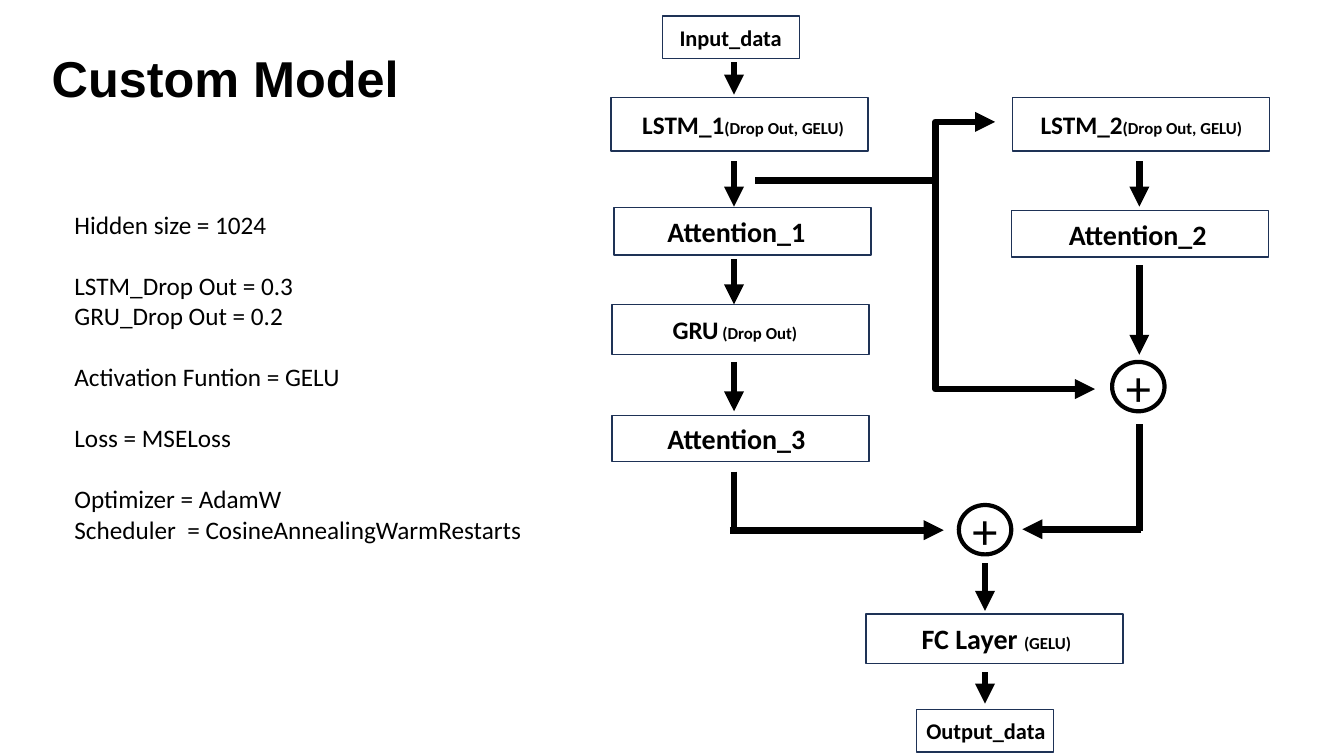
from dataclasses import dataclass

from lxml import etree
from pptx import Presentation
from pptx import util as u
from pptx.dml.color import RGBColor
from pptx.enum import shapes, text
from pptx.oxml import ns


@dataclass(frozen=True)
class Theme:
    """Colours, fonts, type sizes and line widths of the slide."""
    ink: RGBColor = RGBColor(0, 0, 0)
    border: RGBColor = RGBColor(0x1E, 0x32, 0x56)
    heading_font: str = "Arial"
    body_font: str = "Calibri"
    title: int = 36
    plus: int = 36
    block: int = 20
    layer: int = 18
    body: int = 18
    data: int = 16
    detail: int = 12
    border_width: float = 1
    ring_width: float = 3
    arrow_width: float = 4.75


class Diagram:
    """Holds the theme and the slide, and draws each kind of element."""

    def __init__(self, slide, theme):
        """Keep the slide and the theme."""
        self.slide = slide
        self.theme = theme

    def add_span(self, para, wording, size, bold=False, font=None):
        """Add one run to a paragraph."""
        span = para.add_run()
        span.text = wording
        span.font.size = u.Pt(size)
        span.font.bold = bold
        span.font.name = font or self.theme.body_font
        span.font.color.rgb = self.theme.ink

    def title(self, wording, left, top, width, height):
        """Add the centred heading, set on the bottom of its box."""
        box = self.slide.shapes.add_textbox(*map(u.Inches, (left, top, width, height)))
        frame = box.text_frame
        frame.word_wrap = True
        frame.vertical_anchor = text.MSO_ANCHOR.BOTTOM
        para = frame.paragraphs[0]
        para.alignment = text.PP_ALIGN.CENTER
        para.line_spacing = 0.9
        self.add_span(para, wording, self.theme.title, True, self.theme.heading_font)

    def settings(self, groups, left, top, width, height):
        """Add groups of lines, with one line of space between groups."""
        box = self.slide.shapes.add_textbox(*map(u.Inches, (left, top, width, height)))
        frame = box.text_frame
        frame.word_wrap = True
        para = frame.paragraphs[0]
        for group_index, group in enumerate(groups):
            for line_index, line in enumerate(group):
                if group_index or line_index:
                    para = frame.add_paragraph()
                if group_index and not line_index:
                    para.space_before = u.Pt(self.theme.body * 1.22)
                self.add_span(para, line, self.theme.body)

    def outline(self, kind, place, color, width):
        """Add an unfilled shape and return it with its text frame ready."""
        shape = self.slide.shapes.add_shape(kind, *map(u.Inches, place))
        shape.shadow.inherit = False
        shape.fill.background()
        shape.line.color.rgb = color
        shape.line.width = u.Pt(width)
        frame = shape.text_frame
        frame.margin_left = frame.margin_right = 0
        frame.margin_top = frame.margin_bottom = 0
        frame.vertical_anchor = text.MSO_ANCHOR.MIDDLE
        return shape

    def block(self, place, indent, name, size, detail=""):
        """Add a network block with its name and an optional detail."""
        box = self.outline(shapes.MSO_SHAPE.RECTANGLE, place,
                           self.theme.border, self.theme.border_width)
        box.text_frame.margin_left = u.Inches(indent)
        para = box.text_frame.paragraphs[0]
        para.alignment = text.PP_ALIGN.LEFT
        self.add_span(para, name, size, True)
        if detail:
            self.add_span(para, detail, self.theme.detail, True)

    def adder(self, left, top):
        """Add a ring with a plus sign."""
        ring = self.outline(shapes.MSO_SHAPE.OVAL, (left, top, 0.52, 0.49),
                            self.theme.ink, self.theme.ring_width)
        ring.text_frame.word_wrap = False
        para = ring.text_frame.paragraphs[0]
        para.alignment = text.PP_ALIGN.CENTER
        self.add_span(para, "+", self.theme.plus)

    def link(self, start, end, head=True, bend_x=None):
        """Add a line, bent at bend_x if given, with an arrowhead if wanted."""
        kind = shapes.MSO_CONNECTOR.STRAIGHT if bend_x is None else shapes.MSO_CONNECTOR.ELBOW
        line = self.slide.shapes.add_connector(kind, *map(u.Inches, (*start, *end)))
        line.line.color.rgb = self.theme.ink
        line.line.width = u.Pt(self.theme.arrow_width)
        properties = line._element.spPr
        if head:
            stroke = properties.find(ns.qn("a:ln"))
            etree.SubElement(stroke, ns.qn("a:tailEnd"), type="triangle")
        etree.SubElement(properties, ns.qn("a:effectLst"))
        if bend_x is not None:
            share = (bend_x - start[0]) / (end[0] - start[0])
            guides = properties.find(ns.qn("a:prstGeom")).find(ns.qn("a:avLst"))
            etree.SubElement(guides, ns.qn("a:gd"), name="adj1",
                             fmla=f"val {round(share * 100000)}")


def main():
    """Build the slide and save it."""
    deck = Presentation()
    deck.slide_width, deck.slide_height = u.Inches(13.33), u.Inches(7.5)
    page = deck.slides.add_slide(deck.slide_layouts[6])
    theme = Theme()
    model = Diagram(page, theme)

    model.title("Custom Model", 0.2, 0.37, 4.07, 0.75)
    model.settings([
        ["Hidden size = 1024"],
        ["LSTM_Drop Out = 0.3", "GRU_Drop Out = 0.2"],
        ["Activation Funtion = GELU"],
        ["Loss = MSELoss"],
        ["Optimizer = AdamW", "Scheduler  = CosineAnnealingWarmRestarts"],
    ], 0.64, 2.03, 6.14, 3.43)

    layer_width, data_width = 2.55, 1.36
    blocks = [
        (6.57, 0.16, data_width, 0.42, 0.17, "Input_data", theme.data, ""),
        (6.06, 0.97, layer_width, 0.53, 0.31, "LSTM_1", theme.layer, "(Drop Out, GELU)"),
        (6.09, 2.06, layer_width, 0.47, 0.53, "Attention_1", theme.block, ""),
        (6.07, 3.02, layer_width, 0.5, 0.6, "GRU", theme.layer, " (Drop Out)"),
        (6.07, 4.12, layer_width, 0.46, 0.55, "Attention_3", theme.block, ""),
        (10.04, 0.97, layer_width, 0.53, 0.28, "LSTM_2", theme.layer, "(Drop Out, GELU)"),
        (10.03, 2.09, layer_width, 0.46, 0.57, "Attention_2", theme.block, ""),
        (8.59, 6.09, layer_width, 0.49, 0.55, "FC Layer ", theme.block, "(GELU)"),
        (9.09, 7.04, data_width, 0.42, 0.1, "Output_data", theme.data, ""),
    ]
    for left, top, width, height, indent, name, size, detail in blocks:
        model.block((left, top, width, height), indent, name, size, detail)

    model.adder(11.03, 3.59)
    model.adder(9.51, 5.01)

    main_x, side_x, merge_x, fork_x = 7.28, 11.3, 9.77, 9.28
    steps = {
        main_x: [(0.62, 0.94), (1.6, 2.05), (2.57, 3.02), (3.59, 4.08)],
        side_x: [(1.6, 2.05), (2.63, 3.52)],
        merge_x: [(5.59, 6.06), (6.67, 6.98)],
    }
    for x, stretches in steps.items():
        for top, bottom in stretches:
            model.link((x, top), (x, bottom))

    model.link((7.49, 1.79), (9.87, 1.21), bend_x=fork_x)
    model.link((7.71, 1.79), (10.86, 3.86), bend_x=fork_x)

    model.link((main_x, 4.68), (main_x, 5.27), head=False)
    model.link((7.24, 5.26), (9.36, 5.26))
    model.link((side_x, 4.21), (side_x, 5.27), head=False)
    model.link((11.32, 5.25), (10.14, 5.25))

    deck.save("out.pptx")


main()
